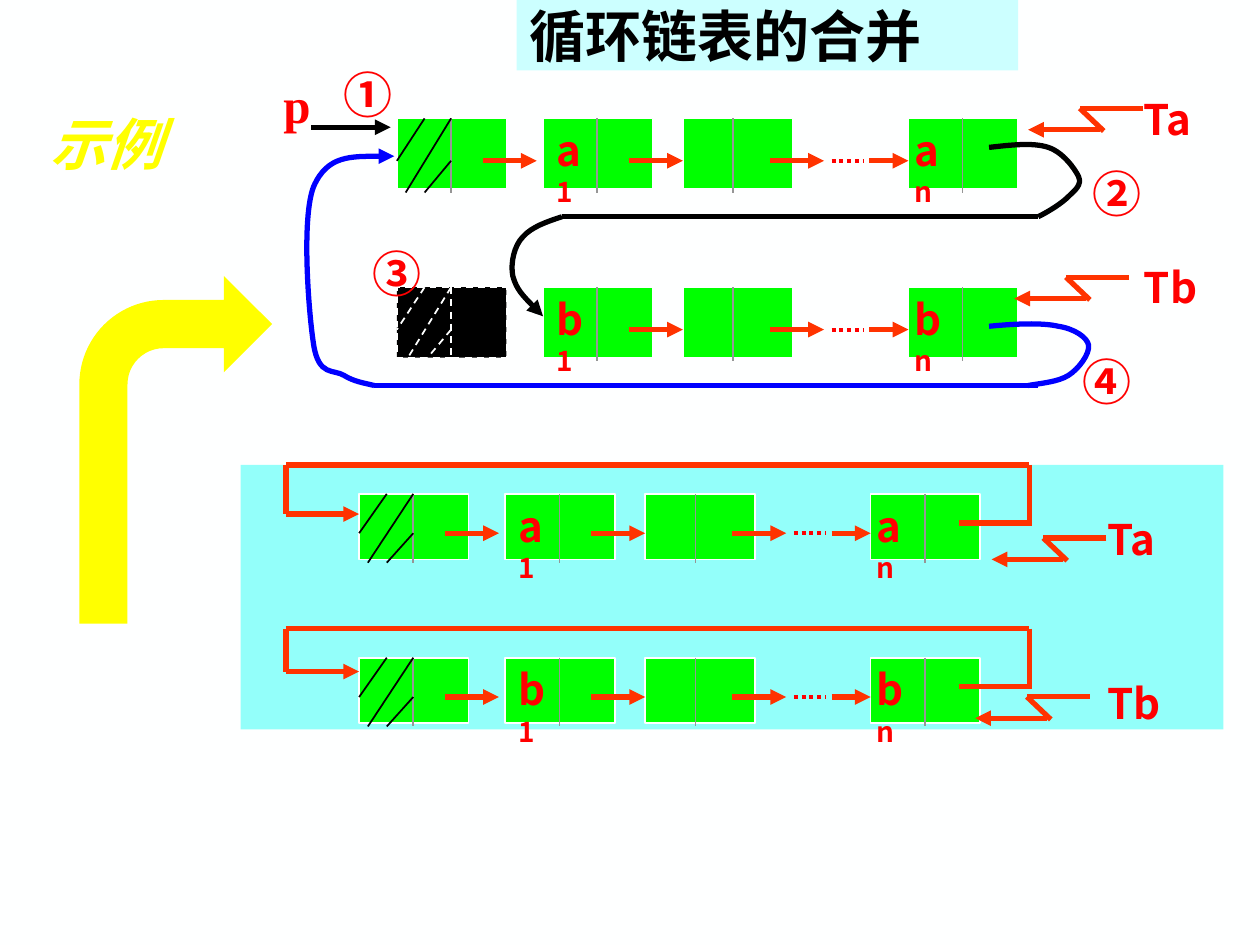
from dataclasses import dataclass
from lxml import etree
from pptx import Presentation
from pptx.dml.color import RGBColor
from pptx.enum.dml import MSO_LINE
from pptx.enum.shapes import MSO_CONNECTOR, MSO_SHAPE
from pptx.enum.text import MSO_ANCHOR, MSO_AUTO_SIZE, PP_ALIGN
from pptx.oxml.ns import qn
from pptx.util import Inches, Pt

RECT, BENT = MSO_SHAPE.RECTANGLE, MSO_SHAPE.BENT_ARROW
STRAIGHT = MSO_CONNECTOR.STRAIGHT
DASH, DOT = MSO_LINE.DASH, MSO_LINE.ROUND_DOT
MIDDLE, LEFT = MSO_ANCHOR.MIDDLE, PP_ALIGN.LEFT
GROW = MSO_AUTO_SIZE.SHAPE_TO_FIT_TEXT
SANS, SERIF = "Noto Sans CJK SC", "Times New Roman"
COLORS = {
    "white": "FEFFFF", "black": "000000", "red": "FF0000", "orange": "FF3300",
    "green": "00FF00", "gray": "969696", "blue": "0000FF", "yellow": "FFFF00",
    "panel": "93FFFA", "title": "CCFFFF",
}


@dataclass
class Run:
    text: str
    size: float
    color: str = "red"
    font: str = SANS
    italic: bool = False


@dataclass
class Label:
    x: float
    y: float
    w: float
    h: float
    runs: list[Run]
    wrap: bool = True


@dataclass
class ListRow:
    x: float
    y: float
    h: float
    letter: str
    freed_head: bool = False


@dataclass
class Pointer:
    x: float
    y: float
    name: str
    name_x: float
    name_y: float


@dataclass
class Curve:
    points: list[tuple[float, float]]
    color: str
    arrow: bool = False


def rgb(color: str) -> RGBColor:
    return RGBColor.from_string(COLORS[color])


def style_line(line, color: str, width: float, dash=None, arrow: bool = False) -> None:
    line.color.rgb = rgb(color)
    line.width = Pt(width)
    if dash is not None:
        line.dash_style = dash
    if arrow:
        ln = line.color._xFill.getparent()
        etree.SubElement(ln, qn("a:tailEnd"), type="triangle")


def add_line(s, x1: float, y1: float, x2: float, y2: float, color: str = "orange",
             width: float = 3, dash=None, arrow: bool = False) -> None:
    sp = s.shapes.add_connector(STRAIGHT, Inches(x1), Inches(y1), Inches(x2), Inches(y2))
    style_line(sp.line, color, width, dash, arrow)
    etree.SubElement(sp._element.spPr, qn("a:effectLst"))


def add_block(s, kind, x: float, y: float, w: float, h: float, fill: str,
              outline: str | None = None, dash=None):
    sp = s.shapes.add_shape(kind, Inches(x), Inches(y), Inches(w), Inches(h))
    sp.shadow.inherit = False
    sp.fill.solid()
    sp.fill.fore_color.rgb = rgb(fill)
    if outline:
        style_line(sp.line, outline, 1, dash)
    else:
        sp.line.fill.background()
    return sp


def add_runs(p, runs: list[Run]) -> None:
    p.alignment = LEFT
    for run in runs:
        r = p.add_run()
        r.text = run.text
        r.font.size = Pt(run.size)
        r.font.bold = True
        if run.italic:
            r.font.italic = True
        r.font.color.rgb = rgb(run.color)
        r.font.name = run.font
        etree.SubElement(r.font._element, qn("a:ea"), typeface=SANS)


def add_label(s, label: Label) -> None:
    sp = s.shapes.add_textbox(Inches(label.x), Inches(label.y), Inches(label.w), Inches(label.h))
    tf = sp.text_frame
    tf.word_wrap = label.wrap
    tf.auto_size = GROW
    add_runs(tf.paragraphs[0], label.runs)


def add_curve(s, curve: Curve) -> None:
    start, *rest = [(Inches(x), Inches(y)) for x, y in curve.points]
    builder = s.shapes.build_freeform(*start)
    builder.add_line_segments(rest, close=False)
    sp = builder.convert_to_shape()
    sp.shadow.inherit = False
    sp.fill.background()
    style_line(sp.line, curve.color, 3, arrow=curve.arrow)
    steps = list(sp._element.iter(qn("a:lnTo")))
    outline = steps[0].getparent()
    for i in range(0, len(steps), 3):
        bezier = etree.SubElement(outline, qn("a:cubicBezTo"))
        for step in steps[i:i + 3]:
            bezier.append(step[0])
            outline.remove(step)


def add_list_row(s, row: ListRow) -> None:
    x, y, h = row.x, row.y, row.h
    mid, low = y + 0.6 * h, y + 1.05 * h
    for dx, split in ((0, 0.43), (1.16, 0.43), (2.27, 0.4), (4.06, 0.43)):
        freed = row.freed_head and dx == 0
        dash = DASH if freed else None
        add_block(s, RECT, x + dx, y, 0.87, h, "black" if freed else "green", "white", dash)
        add_line(s, x + dx + split, y, x + dx + split, low,
                 "white" if freed else "gray", 1, dash)
    hatch, dash = ("white", DASH) if row.freed_head else ("black", None)
    for x1, y1, x2, y2 in ((0.22, y, 0, mid), (0.43, y, 0.07, low), (0.43, mid, 0.22, low)):
        add_line(s, x + x1, y1, x + x2, y2, hatch, 1, dash)
    links = [(0.68, 1.11), (1.84, 2.27), (2.96, 3.39), (3.75, 4.06)]
    for x1, x2 in links[1:] if row.freed_head else links:
        add_line(s, x + x1, mid, x + x2, mid, arrow=True)
    add_line(s, x + 3.45, mid, x + 3.7, mid, "red", 2.25, DOT)
    for dx, index in ((1.17, "1"), (4.01, "n")):
        add_label(s, Label(x + dx, y, 0.5, 0.46, [Run(row.letter, 24), Run(index, 16)]))


def add_loop(s, row: ListRow, entry: float) -> None:
    left, right, top = row.x - 0.58, row.x + 5.32, row.y - 0.23
    add_line(s, left, top, right, top)
    add_line(s, left, top, left, row.y + entry)
    add_line(s, left, row.y + entry, row.x, row.y + entry, arrow=True)
    add_line(s, right, top, right, row.y + 0.23)
    add_line(s, row.x + 4.76, row.y + 0.23, right + 0.02, row.y + 0.23)


def add_pointer(s, ptr: Pointer) -> None:
    x, y = ptr.x, ptr.y
    add_line(s, x + 0.91, y, x + 0.41, y)
    add_line(s, x + 0.41, y, x + 0.6, y + 0.18)
    add_line(s, x + 0.57, y + 0.17, x, y + 0.17, arrow=True)
    add_label(s, Label(ptr.name_x, ptr.name_y, 0.75, 0.5, [Run(ptr.name, 24)]))


BEFORE = [ListRow(2.85, 3.92, 0.52, "a"), ListRow(2.85, 5.22, 0.52, "b")]
MERGED = [ListRow(3.15, 0.94, 0.56, "a"), ListRow(3.15, 2.28, 0.56, "b", True)]
POINTERS = [
    Pointer(7.87, 4.27, "Ta", 8.69, 4.03), Pointer(7.74, 5.53, "Tb", 8.69, 5.33),
    Pointer(8.16, 0.86, "Ta", 8.98, 0.69), Pointer(8.05, 2.2, "Tb", 8.98, 2.03),
]
CURVES = [
    Curve([(4.46, 1.72), (4.34, 1.76), (4.22, 1.8), (4.15, 1.88), (4.08, 1.95),
           (4.05, 2.09), (4.07, 2.19), (4.1, 2.3), (4.2, 2.4), (4.31, 2.51)], "black", True),
    Curve([(7.85, 1.17), (8.03, 1.15), (8.2, 1.13), (8.32, 1.17), (8.44, 1.21),
           (8.53, 1.34), (8.56, 1.4), (8.59, 1.47), (8.53, 1.51), (8.48, 1.56),
           (8.43, 1.61), (8.34, 1.67), (8.24, 1.72)], "black"),
    Curve([(7.85, 2.59), (8.06, 2.57), (8.27, 2.56), (8.4, 2.59), (8.53, 2.61),
           (8.63, 2.68), (8.64, 2.74), (8.65, 2.81), (8.56, 2.93), (8.48, 2.98),
           (8.4, 3.03), (8.28, 3.04), (8.16, 3.06)], "blue"),
    Curve([(2.97, 3.06), (2.89, 3.04), (2.81, 3.03), (2.73, 2.98), (2.65, 2.93),
           (2.53, 2.99), (2.49, 2.74), (2.45, 2.49), (2.39, 1.73), (2.49, 1.48),
           (2.6, 1.23), (2.86, 1.24), (3.13, 1.24)], "blue", True),
]
LABELS = [
    Label(2.63, 0.46, 0.44, 0.57, [Run("①", 28)]),
    Label(8.57, 1.25, 0.6, 0.57, [Run("②", 28)], False),
    Label(2.86, 1.88, 0.6, 0.57, [Run("③", 28)], False),
    Label(8.49, 2.74, 0.6, 0.57, [Run("④", 28)], False),
    Label(2.15, 0.54, 0.48, 0.57, [Run("p", 28, font=SERIF)]),
    Label(0.3, 0.82, 1.26, 0.64, [Run("示例", 32, "yellow", SERIF, True)]),
]


def main() -> None:
    """Build the slide on merging two circular linked lists."""
    prs = Presentation()
    prs.slide_width, prs.slide_height = Inches(10), Inches(7.5)
    s = prs.slides.add_slide(prs.slide_layouts[6])
    s.background.fill.solid()
    s.background.fill.fore_color.rgb = rgb("white")
    add_block(s, RECT, 1.91, 3.69, 7.8, 2.1, "panel")
    title = add_block(s, RECT, 4.1, 0, 3.98, 0.56, "title")
    title.text_frame.vertical_anchor = MIDDLE
    add_runs(title.text_frame.paragraphs[0], [Run("循环链表的合并", 32, "black")])
    for row in BEFORE + MERGED:
        add_list_row(s, row)
    for row, entry in zip(BEFORE, (0.16, 0.11)):
        add_loop(s, row, entry)
    add_line(s, 4.46, 1.72, 8.24, 1.72, "black")
    add_line(s, 2.97, 3.06, 8.24, 3.06, "blue")
    add_line(s, 2.47, 1.01, 3.1, 1.01, "black", arrow=True)
    for curve in CURVES:
        add_curve(s, curve)
    for ptr in POINTERS:
        add_pointer(s, ptr)
    add_block(s, BENT, 0.63, 2.19, 1.53, 2.76, "yellow")
    for label in LABELS:
        add_label(s, label)
    prs.save("out.pptx")


if __name__ == "__main__":
    main()
